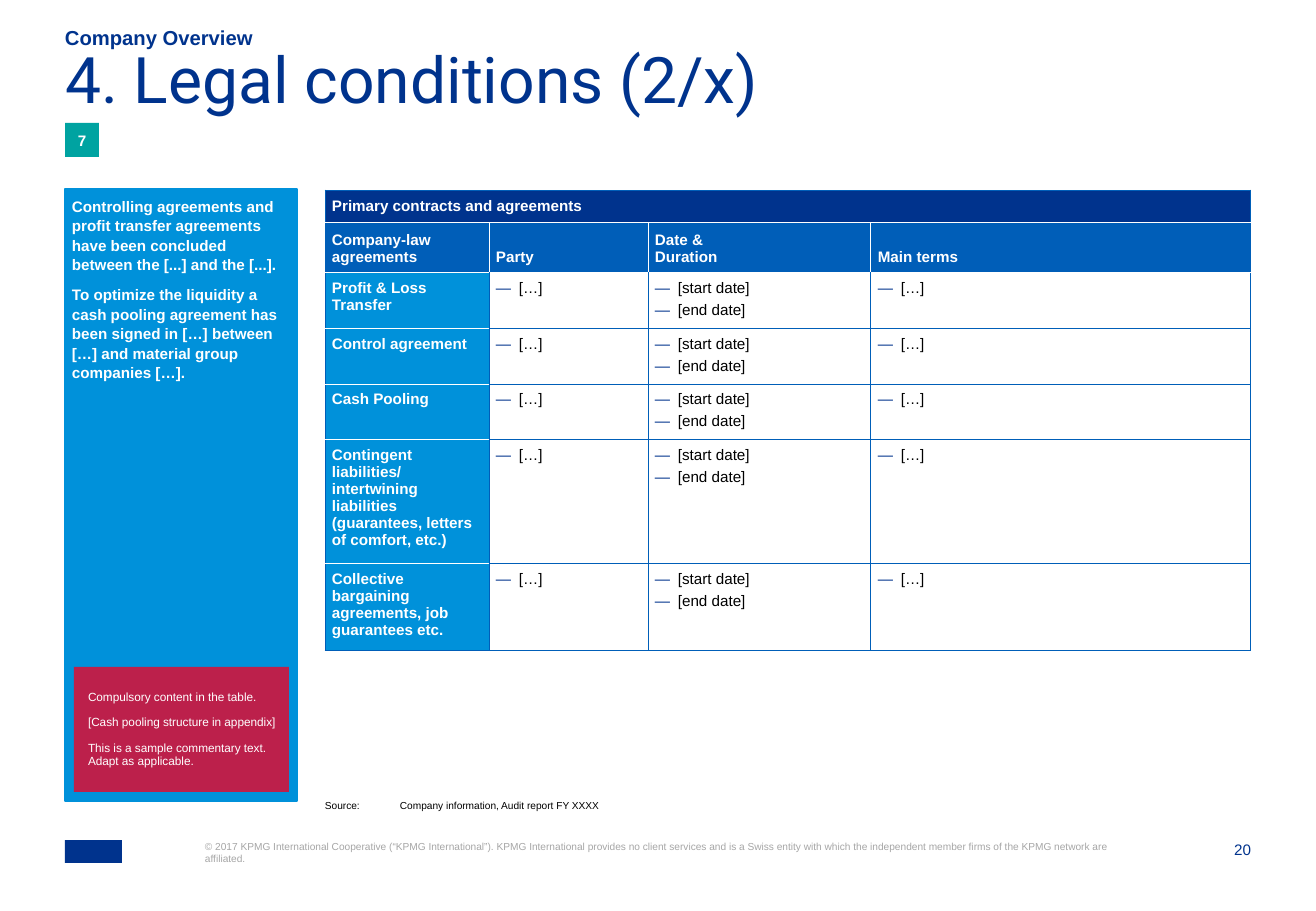
from lxml import etree
from pptx import Presentation
from pptx import util as u
from pptx.dml.color import RGBColor
from pptx.enum import shapes, text
from pptx.oxml import ns

PX = 7526
NAVY = RGBColor(0x00, 0x33, 0x8D)
BLUE = RGBColor(0x00, 0x5E, 0xB8)
SKY = RGBColor(0x00, 0x91, 0xDA)
TEAL = RGBColor(0x00, 0xA3, 0xA1)
CRIMSON = RGBColor(0xBC, 0x20, 0x4B)
GREY = RGBColor(0xA6, 0xA6, 0xA6)
WHITE = RGBColor(0xFF, 0xFF, 0xFF)
BLACK = RGBColor(0x00, 0x00, 0x00)

COLUMN_WIDTHS = [164, 159, 223, 380]
ROW_HEIGHTS = [31, 48, 54, 53, 54, 117, 82]
TABLE_TITLE = "Primary contracts and agreements"
HEADINGS = ["Company-law agreements", "Party", "Date &\nDuration", "Main terms"]
AGREEMENTS = [
    "Profit & Loss Transfer",
    "Control agreement",
    "Cash Pooling",
    "Contingent liabilities/ intertwining liabilities (guarantees, letters of comfort, etc.)",
    "Collective bargaining agreements, job guarantees etc.",
]
TERMS = ["[…]", "[start date]\n[end date]", "[…]"]
COPYRIGHT = (
    "© 2017 KPMG International Cooperative (“KPMG International”). KPMG International "
    "provides no client services and is a Swiss entity with which the independent member "
    "firms of the KPMG network are affiliated."
)
FINDINGS = [
    "Controlling agreements and profit transfer agreements have been concluded "
    "between the [...] and the [...].",
    "To optimize the liquidity a cash pooling agreement has been signed in […] "
    "between […] and material group companies […].",
]
GUIDANCE = [
    "Compulsory content in the table.",
    "[Cash pooling structure in appendix]",
    "This is a sample commentary text.",
    "Adapt as applicable.",
]


def px(length):
    return u.Emu(length * PX)


def add_element(parent, tag, **attributes):
    return etree.SubElement(parent, ns.qn(tag), attributes)


def set_margins(frame, left, top, right, bottom):
    frame.margin_left, frame.margin_top = px(left), px(top)
    frame.margin_right, frame.margin_bottom = px(right), px(bottom)


def style_text(frame, size, color, bold=False, font="Arial", align=text.PP_ALIGN.LEFT,
               spacing=None, before=0):
    for index, paragraph in enumerate(frame.paragraphs):
        paragraph.alignment = align
        paragraph.line_spacing = spacing
        if index and before:
            paragraph.space_before = u.Pt(before)
        for run in paragraph.runs:
            run.font.name = font
            run.font.size = u.Pt(size)
            run.font.bold = bold
            run.font.color.rgb = color


def place(shape, left, top, width, height):
    shape.left, shape.top = px(left), px(top)
    shape.width, shape.height = px(width), px(height)


def add_title(slide, content):
    title = slide.shapes.title
    place(title, 65, 60, 1185, 96)
    frame = title.text_frame
    frame.text = content
    frame.auto_size = text.MSO_AUTO_SIZE.NONE
    frame.vertical_anchor = text.MSO_ANCHOR.TOP
    set_margins(frame, 0, 0, 0, 0)
    style_text(frame, 38, NAVY, font="Roboto", spacing=0.7)


def add_label(slide, box, content, size, color, anchor=text.MSO_ANCHOR.TOP, **style):
    frame = slide.shapes.add_textbox(*map(px, box)).text_frame
    frame.word_wrap = True
    frame.vertical_anchor = anchor
    set_margins(frame, 0, 0, 0, 0)
    frame.text = content
    style_text(frame, size, color, **style)
    return frame


def add_panel(slide, box, color, content="", size=9, anchor=text.MSO_ANCHOR.MIDDLE,
              margins=(7, 7, 7, 7), **style):
    shape = slide.shapes.add_shape(shapes.MSO_SHAPE.RECTANGLE, *map(px, box))
    shape.shadow.inherit = False
    shape.fill.solid()
    shape.fill.fore_color.rgb = color
    shape.line.fill.background()
    frame = shape.text_frame
    frame.word_wrap = True
    frame.vertical_anchor = anchor
    set_margins(frame, *margins)
    frame.text = content
    style_text(frame, size, WHITE, **style)
    return shape


def add_source(slide):
    frame = add_label(slide, (325, 801, 486, 11),
                      "Source:\tCompany information, Audit report FY XXXX", 6, BLACK, spacing=0.9)
    properties = frame.paragraphs[0]._p.get_or_add_pPr()
    properties.set("marL", str(px(75)))
    properties.set("indent", str(px(-75)))
    tabs = add_element(properties, "a:tabLst")
    add_element(tabs, "a:tab", pos=str(px(75)), algn="l")


def add_dash(paragraph):
    properties = paragraph._p.get_or_add_pPr()
    properties.set("marL", str(px(23)))
    properties.set("indent", str(px(-23)))
    color = add_element(properties, "a:buClr")
    add_element(color, "a:srgbClr", val=str(NAVY))
    add_element(properties, "a:buFont", typeface="Arial")
    add_element(properties, "a:buChar", char="—")


def horizontal_color(row, column):
    inside_labels = column == 0 and 0 < row < len(ROW_HEIGHTS)
    return WHITE if row in (1, 2) or inside_labels else BLUE


def vertical_color(row, column):
    return WHITE if row == 1 and 0 < column < len(COLUMN_WIDTHS) else BLUE


def set_borders(cell, row, column):
    colors = {
        "a:lnL": vertical_color(row, column),
        "a:lnR": vertical_color(row, column + 1),
        "a:lnT": horizontal_color(row, column),
        "a:lnB": horizontal_color(row + 1, column),
    }
    properties = cell._tc.get_or_add_tcPr()
    for tag, color in colors.items():
        line = add_element(properties, tag, w=str(u.Pt(0.5)))
        fill = add_element(line, "a:solidFill")
        add_element(fill, "a:srgbClr", val=str(color))


def fill_cell(cell, row, column, content):
    is_term = row > 1 and column > 0
    cell.text = content
    set_margins(cell, 7, 7, 7, 7)
    anchors = [text.MSO_ANCHOR.MIDDLE, text.MSO_ANCHOR.BOTTOM]
    cell.vertical_anchor = anchors[row] if row < 2 else text.MSO_ANCHOR.TOP
    if is_term:
        for paragraph in cell.text_frame.paragraphs:
            add_dash(paragraph)
    style_text(cell.text_frame, 9, BLACK if is_term else WHITE, bold=not is_term,
               before=3 if is_term else 0)
    set_borders(cell, row, column)
    cell.fill.solid()
    cell.fill.fore_color.rgb = WHITE if is_term else [NAVY, BLUE, SKY][min(row, 2)]


def add_agreements_table(slide):
    rows = [[TABLE_TITLE, "", "", ""], HEADINGS] + [[name] + TERMS for name in AGREEMENTS]
    table = slide.shapes.add_table(
        len(rows), len(COLUMN_WIDTHS), px(325), px(190),
        px(sum(COLUMN_WIDTHS)), px(sum(ROW_HEIGHTS))).table
    table.first_row = table.horz_banding = False
    for column, width in zip(table.columns, COLUMN_WIDTHS):
        column.width = px(width)
    for row, height in zip(table.rows, ROW_HEIGHTS):
        row.height = px(height)
    for row, contents in enumerate(rows):
        for column, content in enumerate(contents):
            fill_cell(table.cell(row, column), row, column, content)
    table.cell(0, 0).merge(table.cell(0, len(COLUMN_WIDTHS) - 1))


def main():
    presentation = Presentation()
    presentation.slide_width, presentation.slide_height = px(1316), px(911)
    slide = presentation.slides.add_slide(presentation.slide_layouts[5])

    add_label(slide, (1199, 840, 52, 19), "20", 9, NAVY, align=text.PP_ALIGN.RIGHT)
    add_panel(slide, (65, 840, 57, 23), NAVY)
    add_label(slide, (205, 840, 910, 50), COPYRIGHT, 6, GREY)
    findings = add_panel(slide, (65, 189, 232, 612), SKY, "\n".join(FINDINGS),
                         anchor=text.MSO_ANCHOR.TOP, bold=True, spacing=1.07, before=6)
    findings.line.color.rgb = SKY
    findings.line.width = u.Pt(0.75)
    add_title(slide, "4. Legal conditions (2/x)")
    add_label(slide, (65, 27, 1142, 23), "Company Overview", 12, NAVY,
              anchor=text.MSO_ANCHOR.BOTTOM, bold=True)
    add_panel(slide, (65, 123, 34, 34), TEAL, "7", bold=True, align=text.PP_ALIGN.CENTER)
    guidance = add_panel(slide, (74, 667, 215, 125), CRIMSON, "\n".join(GUIDANCE), size=7,
                         margins=(14, 7, 7, 7), spacing=0.9, before=7.5)
    guidance.text_frame.paragraphs[-1].space_before = u.Pt(0)
    add_agreements_table(slide)
    add_source(slide)

    presentation.save("out.pptx")


if __name__ == "__main__":
    main()
